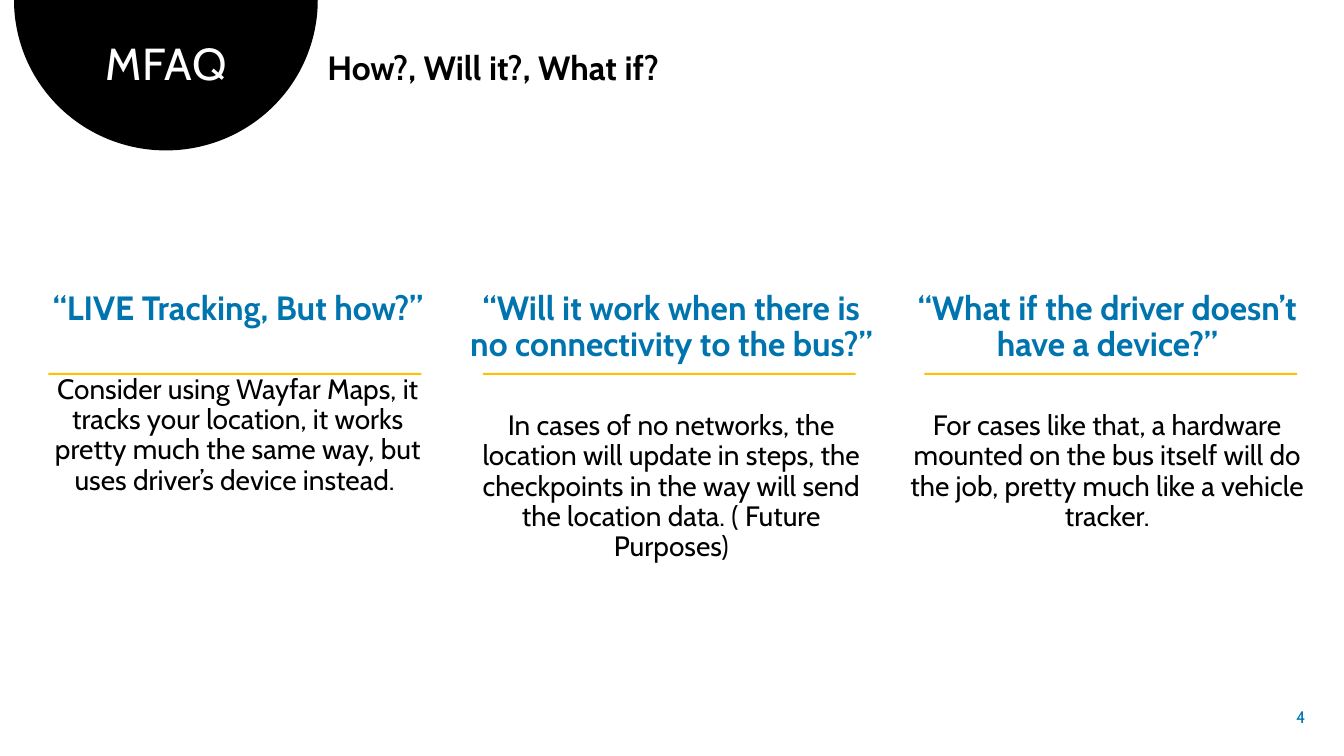
import math

from pptx import Presentation
from pptx.dml.color import RGBColor
from pptx.enum.shapes import MSO_SHAPE
from pptx.enum.text import MSO_ANCHOR, PP_ALIGN
from pptx.util import Pt

RECTANGLE = MSO_SHAPE.RECTANGLE
LEFT, CENTER, RIGHT = PP_ALIGN.LEFT, PP_ALIGN.CENTER, PP_ALIGN.RIGHT
TOP, MIDDLE = MSO_ANCHOR.TOP, MSO_ANCHOR.MIDDLE

BLACK, WHITE, BLUE, AMBER = "000000", "FFFFFF", "0074AF", "FFC000"

COLUMN_TOP = 204.5
RULE_TOP, RULE_WIDTH, RULE_HEIGHT = 266.4, 266.4, 1.44

# Box left, width and height, rule left, question, answer
COLUMNS = [
    (23.76, 292.32, 154.8, 34.56, "“LIVE Tracking, But how?”",
     "Consider using Wayfar Maps, it tracks your location, it works pretty "
     "much the same way, but uses driver’s device instead. "),
    (328.32, 302.4, 203.04, 344.88,
     "“Will it work when there is no connectivity to the bus?”",
     "In cases of no networks, the location will update in steps, the "
     "checkpoints in the way will send the location data. ( Future Purposes)"),
    (642.24, 297.36, 181.44, 660.24,
     "“What if the driver doesn’t have a device?”",
     "For cases like that, a hardware mounted on the bus itself will do the "
     "job, pretty much like a vehicle tracker."),
]


def color(value):
    return RGBColor.from_string(value)


class SlideBuilder:
    font = "Cabin"

    def __init__(self, slide):
        self.slide = slide

    def paint(self, shape, fill):
        shape.shadow.inherit = False
        shape.fill.solid()
        shape.fill.fore_color.rgb = color(fill)
        shape.line.fill.background()

    def half_disc(self, center_x, radius_x, radius_y, fill, steps=120):
        """Lower half of an ellipse hanging from the top edge."""
        angles = [math.pi * step / steps for step in range(steps + 1)]
        points = [(Pt(center_x + radius_x * math.cos(angle)),
                   Pt(radius_y * math.sin(angle))) for angle in angles]
        builder = self.slide.shapes.build_freeform(*points[0])
        builder.add_line_segments(points[1:], close=True)
        self.paint(builder.convert_to_shape(), fill)

    def rule(self, left, top, width, height, fill):
        shape = self.slide.shapes.add_shape(
            RECTANGLE, Pt(left), Pt(top), Pt(width), Pt(height))
        self.paint(shape, fill)

    def text_box(self, left, top, width, height, anchor=TOP, wrap=True):
        shape = self.slide.shapes.add_textbox(
            Pt(left), Pt(top), Pt(width), Pt(height))
        shape.text_frame.word_wrap = wrap
        shape.text_frame.vertical_anchor = anchor
        return shape.text_frame

    def set_text(self, paragraph, text, size, fill, bold=False, align=CENTER,
                 line_spacing=0.9, before=0, after=0, tracking=0):
        paragraph.text = text
        paragraph.alignment = align
        paragraph.line_spacing = line_spacing
        paragraph.space_before = Pt(before)
        paragraph.space_after = Pt(after)
        for run in paragraph.runs:
            run.font.name = self.font
            run.font.size = Pt(size)
            run.font.bold = bold
            run.font.color.rgb = color(fill)
            if tracking:
                run._r.get_or_add_rPr().set("spc", str(round(tracking * 100)))

    def question_and_answer(self, left, width, height, question, answer):
        frame = self.text_box(left, COLUMN_TOP, width, height)
        self.set_text(frame.paragraphs[0], question, 24, BLUE, bold=True,
                      before=10, after=24)
        self.set_text(frame.add_paragraph(), answer, 20, BLACK,
                      before=10, after=12)


def main():
    presentation = Presentation()
    presentation.slide_width, presentation.slide_height = Pt(960), Pt(540)
    slide = presentation.slides.add_slide(presentation.slide_layouts[6])
    builder = SlideBuilder(slide)

    # Header
    builder.half_disc(118.5, 108.5, 107.5, BLACK)
    title = builder.text_box(25.2, 26.64, 187.2, 42.48)
    builder.set_text(title.paragraphs[0], "MFAQ", 32, WHITE, tracking=0.6)
    subtitle = builder.text_box(226.8, 33.12, 714.96, 33.12)
    builder.set_text(subtitle.paragraphs[0], "How?, Will it?, What if?", 24,
                     BLACK, bold=True, align=LEFT, before=10)

    # Questions, answers and rules
    for left, width, height, rule_left, question, answer in COLUMNS:
        builder.question_and_answer(left, width, height, question, answer)
        builder.rule(rule_left, RULE_TOP, RULE_WIDTH, RULE_HEIGHT, AMBER)

    # Slide number
    number = builder.text_box(900, 497.5, 39.6, 28.8, anchor=MIDDLE)
    builder.set_text(number.paragraphs[0], "4", 12, BLUE, align=RIGHT,
                     line_spacing=1.0)

    presentation.save("out.pptx")


if __name__ == "__main__":
    main()
